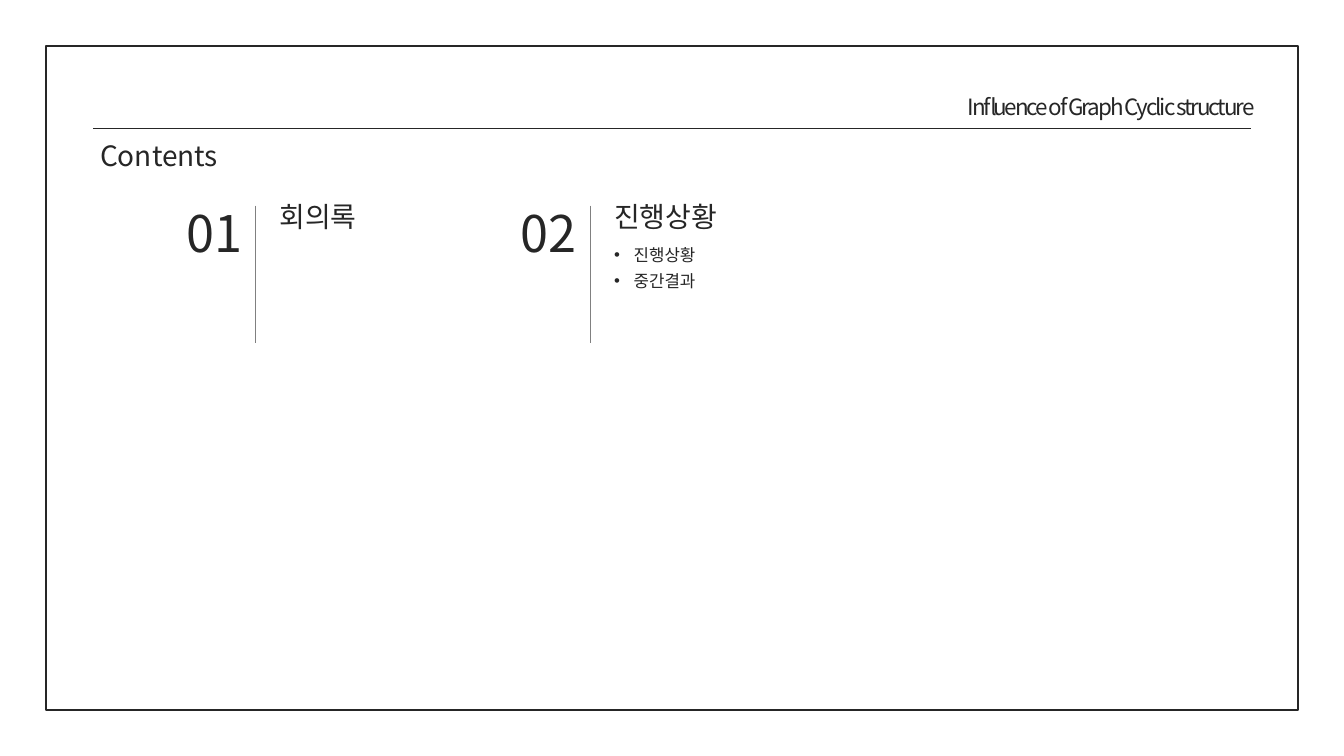
from lxml import etree
from pptx import Presentation
from pptx.dml.color import RGBColor
from pptx.enum.shapes import MSO_CONNECTOR as Connector, MSO_SHAPE as Shape
from pptx.enum.text import MSO_ANCHOR as Anchor, MSO_AUTO_SIZE as AutoSize, PP_ALIGN as Align
from pptx.oxml.ns import qn
from pptx.util import Cm, Pt

INK, GRAY = "262626", "808080"


def color(hex_text):
    return RGBColor.from_string(hex_text)


class SlideBuilder:
    font = "Noto Sans CJK KR"

    def __init__(self, slide):
        self.slide = slide

    def frame(self, left, top, width, height):
        shape = self.slide.shapes.add_shape(
            Shape.RECTANGLE, Cm(left), Cm(top), Cm(width), Cm(height))
        shape.shadow.inherit = False
        shape.fill.background()
        shape.line.color.rgb = color(INK)
        shape.line.width = Pt(2)

    def line(self, x1, y1, x2, y2, hex_text):
        connector = self.slide.shapes.add_connector(
            Connector.STRAIGHT, Cm(x1), Cm(y1), Cm(x2), Cm(y2))
        connector.line.color.rgb = color(hex_text)
        connector.line.width = Pt(0.5)
        etree.SubElement(connector._element.spPr, qn("a:effectLst"))

    def style(self, shape, text, size, align=Align.LEFT, anchor=Anchor.TOP, spacing=None):
        text_frame = shape.text_frame
        text_frame.text = text
        text_frame.word_wrap = True
        text_frame.auto_size = AutoSize.SHAPE_TO_FIT_TEXT
        text_frame.vertical_anchor = anchor
        for paragraph in text_frame.paragraphs:
            paragraph.alignment = align
            for run in paragraph.runs:
                run.font.size = Pt(size)
                run.font.name = self.font
                run.font.color.rgb = color(INK)
                properties = run.font._element
                etree.SubElement(properties, qn("a:ea"), typeface=self.font)
                if spacing is not None:
                    properties.set("spc", str(round(spacing * 100)))

    def title(self, text, left, top, width, height, size):
        title = self.slide.shapes.title
        title.left, title.top = Cm(left), Cm(top)
        title.width, title.height = Cm(width), Cm(height)
        self.style(title, text, size)

    def text(self, text, left, top, width, height, size, **options):
        box = self.slide.shapes.add_textbox(Cm(left), Cm(top), Cm(width), Cm(height))
        self.style(box, text, size, **options)
        return box

    def bullets(self, items, left, top, width, height, size):
        box = self.text("\n".join(items), left, top, width, height, size)
        for paragraph in box.text_frame.paragraphs:
            paragraph.line_spacing = 1.3
            properties = paragraph._p.get_or_add_pPr()
            properties.set("marL", str(Cm(0.74)))
            properties.set("indent", str(-Cm(0.74)))
            etree.SubElement(properties, qn("a:buFont"), typeface="Arial")
            etree.SubElement(properties, qn("a:buChar"), char="•")

    def section(self, number, heading, items, x):
        """Number left of a vertical divider at x, heading and items right of it."""
        text_left = x + 0.66
        self.text(heading, text_left, 7.42, 8.1, 1.55, 30)
        if items:
            self.bullets(items, text_left, 8.89, 21.9, 2.16, 18)
        self.text(f"{number:02}", x - 3.12, 7.49, 3.12, 2.57, 54,
                  align=Align.CENTER, anchor=Anchor.MIDDLE)
        self.line(x, 7.77, x, 12.95, GRAY)


def main():
    presentation = Presentation()
    presentation.slide_width, presentation.slide_height = Cm(50.8), Cm(28.58)
    slide = presentation.slides.add_slide(presentation.slide_layouts[5])
    builder = SlideBuilder(slide)

    # Page frame and header
    builder.frame(1.73, 1.73, 47.32, 25.1)
    builder.line(3.53, 4.83, 47.27, 4.83, INK)
    builder.title("Contents", 3.53, 5.11, 12.88, 1.55, 30)
    builder.text("Influence of Graph Cyclic structure", 32.99, 3.4, 14.68, 1.27, 24,
                 align=Align.RIGHT, spacing=-2.2)

    # Contents sections, evenly spaced
    sections = [("회의록", []), ("진행상황", ["진행상황", "중간결과"])]
    for index, (heading, items) in enumerate(sections):
        builder.section(index + 1, heading, items, 9.65 + 12.65 * index)

    presentation.save("out.pptx")


if __name__ == "__main__":
    main()
